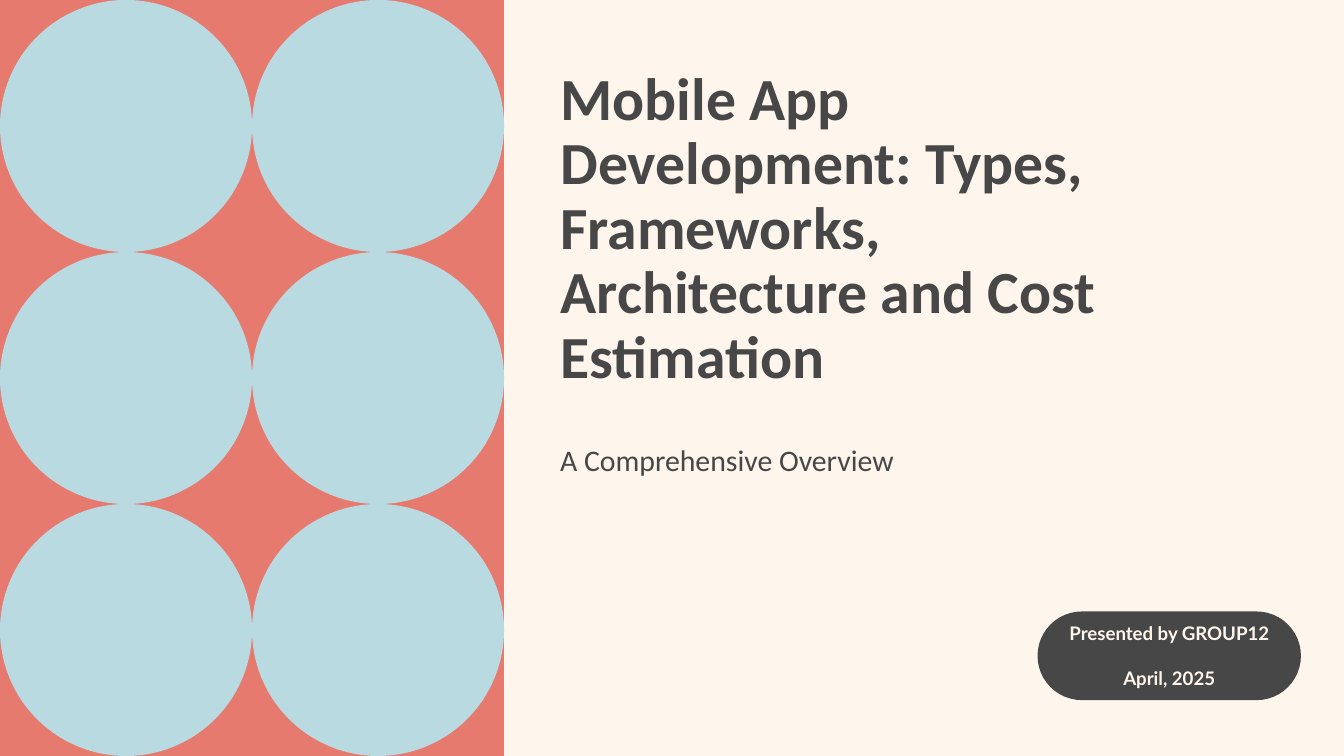
from pptx import Presentation, util as u
from pptx.dml.color import RGBColor
from pptx.enum import shapes, text

CREAM = RGBColor(0xFE, 0xF5, 0xEC)
GREY = RGBColor(0x47, 0x47, 0x47)
CORAL = RGBColor(0xE7, 0x7A, 0x6F)
BLUE = RGBColor(0xBA, 0xDA, 0xE1)
PAD = u.Inches(0.1)


def write(box, lines, size, font="Calibri", color=GREY, bold=False,
          align=text.PP_ALIGN.LEFT, anchor=text.MSO_ANCHOR.TOP, space=1, gap=0):
    frame = box.text_frame
    frame.word_wrap = True
    frame.auto_size = text.MSO_AUTO_SIZE.NONE
    frame.vertical_anchor = anchor
    frame.margin_left = frame.margin_right = PAD
    frame.margin_top = frame.margin_bottom = PAD
    frame.text = "\n".join(lines)
    for i, para in enumerate(frame.paragraphs):
        para.alignment = align
        para.line_spacing = space
        para.space_before = u.Pt(gap if i else 0)
        para.font.name = font
        para.font.size = u.Pt(size)
        para.font.bold = bold
        para.font.color.rgb = color


def draw(kind, left, top, width, height, color):
    shape = slide.shapes.add_shape(kind, left, top, width, height)
    shape.shadow.inherit = False
    shape.fill.solid()
    shape.fill.fore_color.rgb = color
    shape.line.fill.background()
    return shape


cell = u.Inches(3.75) // 2
deck = Presentation()
deck.slide_width = u.Inches(10)
deck.slide_height = 3 * cell
slide = deck.slides.add_slide(deck.slide_layouts[5])
slide.background.fill.solid()
slide.background.fill.fore_color.rgb = CREAM

title = slide.shapes.title
title.left, title.top = u.Inches(4.07), u.Inches(0.41)
title.width, title.height = u.Inches(4.72), u.Inches(2.74)
write(title, ["Mobile App Development: Types, Frameworks, Architecture and Cost Estimation"],
      size=32, bold=True, space=0.9)

sub = slide.shapes.add_textbox(title.left, u.Inches(3.17), u.Inches(2.73), u.Inches(0.66))
write(sub, ["A Comprehensive Overview"], size=16, space=1.07)

pill = draw(shapes.MSO_SHAPE.ROUNDED_RECTANGLE, u.Inches(7.72), u.Inches(4.55),
            u.Inches(1.96), u.Inches(0.66), GREY)
pill.adjustments[0] = 0.5
write(pill, ["Presented by GROUP12", "April, 2025"], size=10, font="Lato", color=CREAM,
      bold=True, align=text.PP_ALIGN.CENTER, anchor=text.MSO_ANCHOR.MIDDLE, gap=12)

draw(shapes.MSO_SHAPE.RECTANGLE, 0, 0, 2 * cell, 3 * cell, CORAL)
for row in range(3):
    for col in range(2):
        draw(shapes.MSO_SHAPE.OVAL, col * cell, row * cell, cell, cell, BLUE)

deck.save("out.pptx")
